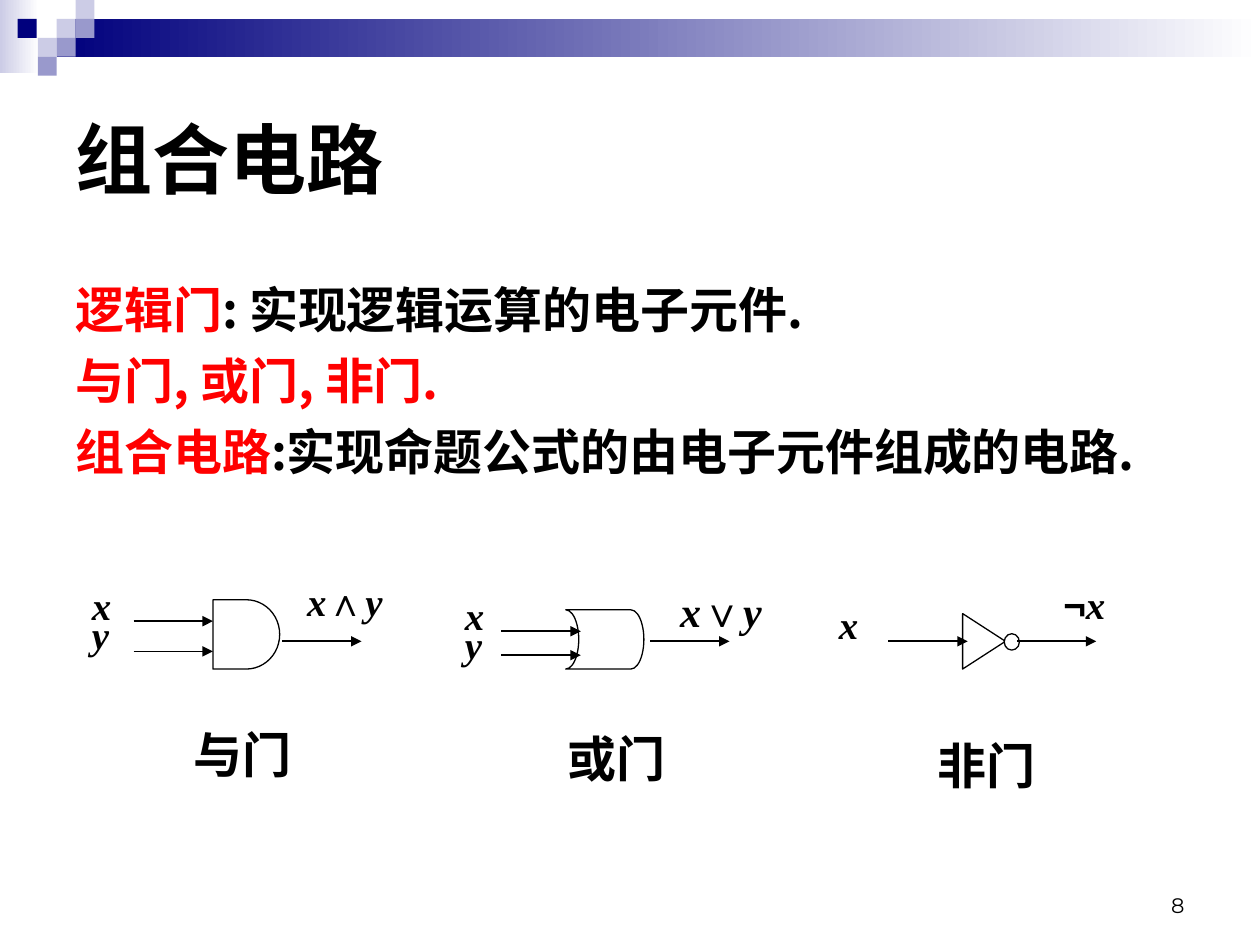
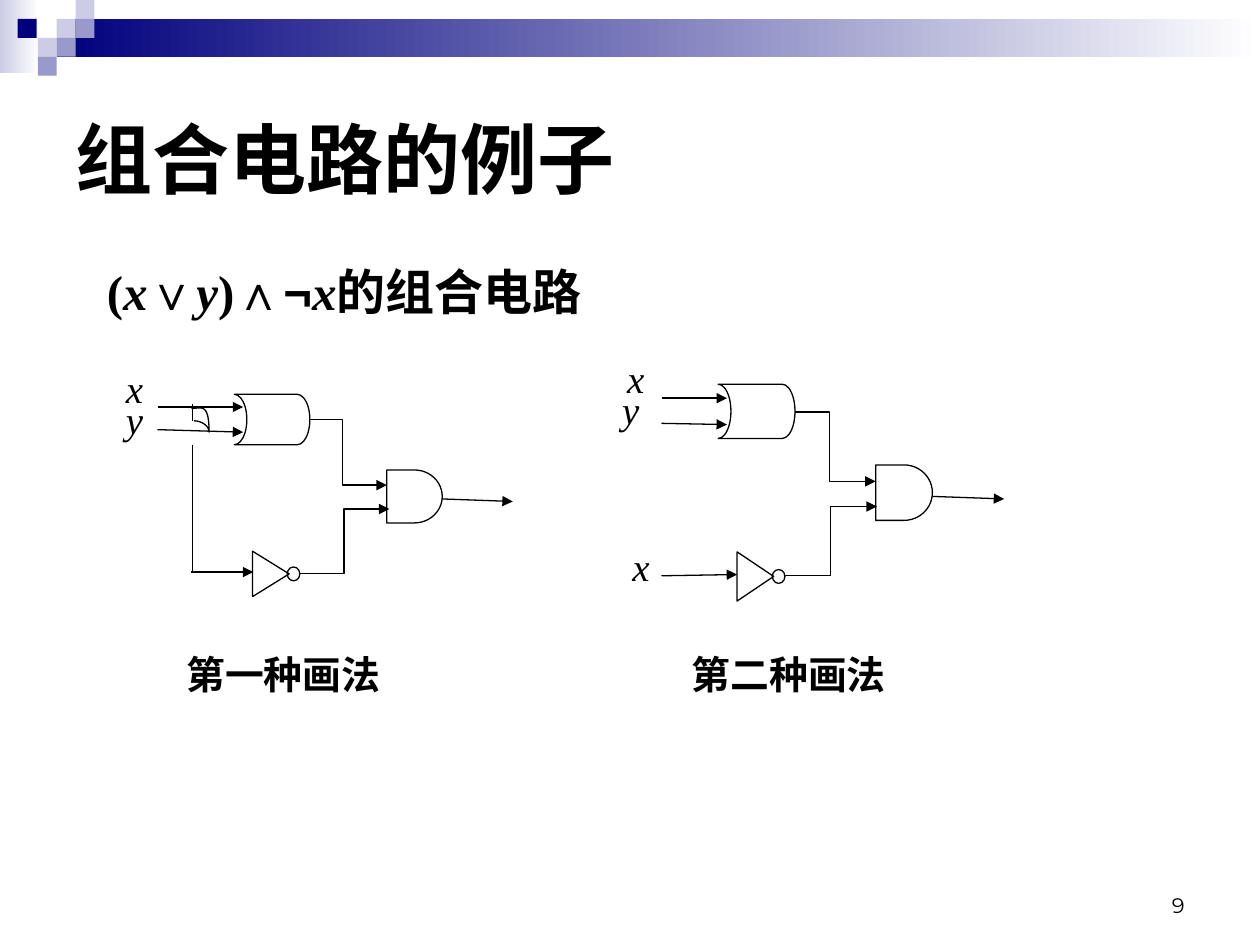
from dataclasses import dataclass
from itertools import groupby

from lxml import etree
from pptx import Presentation
from pptx.dml.color import RGBColor
from pptx.enum.shapes import MSO_CONNECTOR, MSO_SHAPE
from pptx.enum.text import MSO_ANCHOR, PP_ALIGN
from pptx.oxml.ns import qn
from pptx.util import Inches, Pt

RECT, OVAL = MSO_SHAPE.RECTANGLE, MSO_SHAPE.OVAL
TRIANGLE = MSO_SHAPE.ISOSCELES_TRIANGLE
AND_SHAPE = MSO_SHAPE.FLOWCHART_DELAY
OR_SHAPE = MSO_SHAPE.FLOWCHART_STORED_DATA
STRAIGHT, ELBOW = MSO_CONNECTOR.STRAIGHT, MSO_CONNECTOR.ELBOW
TOP, MIDDLE, BOTTOM = MSO_ANCHOR.TOP, MSO_ANCHOR.MIDDLE, MSO_ANCHOR.BOTTOM
LEFT, RIGHT, JUSTIFY = PP_ALIGN.LEFT, PP_ALIGN.RIGHT, PP_ALIGN.JUSTIFY


@dataclass(frozen=True)
class Theme:
    # Colours
    black: str = "000000"
    white: str = "FFFFFF"
    red: str = "FF0000"
    navy: str = "00007D"
    mid: str = "9999CC"
    pale: str = "CCCCE6"
    # Fonts
    sans: str = "Arial"
    serif: str = "Times New Roman"
    caption_font: str = "Calibri"
    number_font: str = "Montserrat"
    cjk: str = "Noto Sans CJK SC"
    # Type sizes and line widths, in points
    title: float = 44
    body: float = 28
    output: float = 24
    label: float = 22.2
    number: float = 12
    thin: float = 0.74
    wire: float = 0.99


def rgb(color):
    return RGBColor.from_string(color)


def inches(values):
    return [Inches(v) for v in values]


def char_kind(char):
    """Variables are italic and the negation sign is sans."""
    return "variable" if char in "xy" else "not" if char == "¬" else "plain"


def bezier(p0, p1, p2, p3, steps=12):
    """Points along a cubic curve, without its start."""
    points = []
    for i in range(1, steps + 1):
        t = i / steps
        u = 1 - t
        points.append(tuple(u**3 * a + 3 * u * u * t * b + 3 * u * t * t * c + t**3 * d
                            for a, b, c, d in zip(p0, p1, p2, p3)))
    return points


class Deck:
    def __init__(self, theme):
        self.theme = theme
        self.prs = Presentation()
        self.prs.slide_width, self.prs.slide_height = Inches(10), Inches(7.5)
        self.s = None

    def new_slide(self, title, number):
        th = self.theme
        self.s = self.prs.slides.add_slide(self.prs.slide_layouts[6])
        self.band()
        self.text((0.5, 0.5, 9, 1.5), title, th.title, th.sans, bold=True,
                  align=LEFT, anchor=MIDDLE)
        self.text((7.17, 6.83, 2.33, 0.5), str(number), th.number, th.number_font,
                  align=RIGHT, anchor=BOTTOM)

    def band(self):
        th, side = self.theme, 0.15
        self.gradient((0, 0, 0.31, 0.58), th.pale)
        self.gradient((0.45, 0.15, 9.55, 0.3), th.navy)
        for x, y, color in [(0.45, 0.15, th.pale), (0.6, 0, th.pale), (0.6, 0.15, th.mid),
                            (0.3, 0.3, th.pale), (0.14, 0.15, th.navy),
                            (0.45, 0.3, th.mid), (0.3, 0.45, th.mid)]:
            self.shape(RECT, (x, y, side, side), fill=color)

    def gradient(self, box, color):
        fill = self.shape(RECT, box).fill
        fill.gradient()
        fill.gradient_angle = 0
        for stop, position, c in zip(fill.gradient_stops, (0, 1), (color, self.theme.white)):
            stop.position, stop.color.rgb = position, rgb(c)

    def style(self, sp, fill, line):
        sp.shadow.inherit = False
        if fill:
            sp.fill.solid()
            sp.fill.fore_color.rgb = rgb(fill)
        else:
            sp.fill.background()
        if line:
            sp.line.color.rgb = rgb(line)
            sp.line.width = Pt(self.theme.thin)
        else:
            sp.line.fill.background()

    def shape(self, kind, box, fill=None, line=None):
        sp = self.s.shapes.add_shape(kind, *inches(box))
        self.style(sp, fill, line)
        return sp

    def text(self, box, paras, size, font, bold=False, align=JUSTIFY, anchor=TOP,
             spacing=None, before=0, margin=0, indent=0, fill=None):
        """paras is a string, or a list of paragraphs made of (text, colour) parts."""
        th = self.theme
        if isinstance(paras, str):
            paras = [[(paras, th.black)]]
        sp = self.s.shapes.add_textbox(*inches(box))
        if fill:
            sp.fill.solid()
            sp.fill.fore_color.rgb = rgb(fill)
        tf = sp.text_frame
        tf.word_wrap, tf.vertical_anchor = True, anchor
        for i, parts in enumerate(paras):
            p = tf.paragraphs[0] if i == 0 else tf.add_paragraph()
            p.alignment, p.space_before = align, Pt(before)
            if spacing:
                p.line_spacing = spacing
            p.font.size, p.font.bold, p.font.name = Pt(size), bold, font
            p.font.color.rgb = rgb(th.black)
            pPr = p._p.get_or_add_pPr()
            pPr.set("marL", str(Inches(margin)))
            pPr.set("indent", str(Inches(indent)))
            etree.SubElement(pPr.find(qn("a:defRPr")), qn("a:ea")).set("typeface", th.cjk)
            for content, color in parts:
                for kind, chars in groupby(content, char_kind):
                    r = p.add_run()
                    r.text = "".join(chars)
                    if kind == "variable":
                        r.font.italic = True
                    elif kind == "not":
                        r.font.name = th.sans
                    if color != th.black:
                        r.font.color.rgb = rgb(color)

    def label(self, x, y, content, w=0.43, h=0.47, bold=False):
        self.text((x, y, w, h), content, self.theme.label, self.theme.serif,
                  bold=bold, spacing=0.9)

    def wire(self, x1, y1, x2, y2, width=None, kind=STRAIGHT, arrow=True, bend=None):
        cx = self.s.shapes.add_connector(kind, *inches((x1, y1, x2, y2)))
        cx.line.color.rgb = rgb(self.theme.black)
        cx.line.width = Pt(width or self.theme.thin)
        spPr = cx._element.spPr
        if arrow:
            etree.SubElement(spPr.find(qn("a:ln")), qn("a:tailEnd")).set("type", "triangle")
        if bend:
            guides = spPr.find(qn("a:prstGeom")).find(qn("a:avLst"))
            gd = etree.SubElement(guides, qn("a:gd"))
            gd.set("name", "adj1")
            gd.set("fmla", f"val {round(bend * 100000)}")
        etree.SubElement(spPr, qn("a:effectLst"))

    def and_gate(self, box, fill=None):
        self.shape(AND_SHAPE, box, fill, self.theme.black)

    def or_gate(self, box, fill=None):
        sp = self.shape(OR_SHAPE, box, fill, self.theme.black)
        sp._element.spPr.get_or_add_xfrm().set("flipH", "1")

    def not_gate(self, box, bubble, fill=None):
        self.shape(TRIANGLE, box, fill, self.theme.black).rotation = 90
        self.shape(OVAL, bubble, fill, self.theme.black)

    def curve(self, start, *segments):
        points = [start]
        for segment in segments:
            points += bezier(points[-1], *segment)
        # Freeform points are whole numbers, so they are given in EMU
        first, *rest = [inches(point) for point in points]
        builder = self.s.shapes.build_freeform(*first, scale=1.0)
        builder.add_line_segments(rest, close=False)
        self.style(builder.convert_to_shape(), None, self.theme.black)

    def circuit(self, or_box, not_box, bubble, and_box, arrows, bends):
        self.or_gate(or_box)
        self.not_gate(not_box, bubble)
        self.and_gate(and_box)
        for arrow in arrows:
            self.wire(*arrow)
        for ends, bend in zip(bends, (0.43, 0.5)):
            self.wire(*ends, kind=ELBOW, bend=bend)


th = Theme()
deck = Deck(th)

# Slide 1: the three gates
deck.new_slide("组合电路", 8)
deck.text((0.5, 2.17, 9, 1.9), [
    [("逻辑门", th.red), (": 实现逻辑运算的电子元件.", th.black)],
    [("与门, 或门, 非门.", th.red)],
    [("组合电路", th.red), (":实现命题公式的由电子元件组成的电路.", th.black)],
], th.body, th.cjk, bold=True, align=LEFT, before=7, margin=0.38, indent=-0.38)

for x, y, w, name in [(0.94, 5.7, 1.73, "与门"), (3.91, 5.73, 1.77, "或门"),
                      (6.84, 5.79, 1.75, "非门")]:
    deck.text((x, y, w, 0.67), name, th.body, th.caption_font, bold=True,
              margin=0.5, fill=th.white)

deck.and_gate((1.69, 4.76, 0.53, 0.55), th.white)
deck.or_gate((4.49, 4.84, 0.62, 0.47), th.white)
deck.not_gate((7.59, 4.92, 0.44, 0.34), (7.97, 5.03, 0.12, 0.13), th.white)

# Inputs and outputs
for x, y, name in [(0.63, 4.61, "x"), (0.63, 4.84, "y"), (3.59, 4.69, "x"),
                   (3.59, 4.92, "y"), (6.56, 4.76, "x")]:
    deck.label(x, y, name, w=0.39, bold=True)
deck.label(2.34, 4.58, "x∧y", w=1.17, h=0.5, bold=True)
deck.text((5.3, 4.6, 1.1, 0.55), "x∨y", th.output, th.serif, bold=True)
deck.label(8.34, 4.6, "¬x", w=0.72, h=0.48, bold=True)

wire_length = 0.63
for x, y in [(8.07, 5.09), (7.05, 5.09), (5.16, 5.09), (3.98, 5.01), (3.98, 5.2),
             (2.24, 5.09), (1.06, 4.93), (1.06, 5.17)]:
    deck.wire(x, y, x + wire_length, y, th.wire)

# Slide 2: two drawings of one circuit
deck.new_slide("组合电路的例子", 9)
deck.text((0.55, 2.03, 8.67, 4.14), "(x∨y)∧¬x的组合电路", th.body, th.serif,
          bold=True, margin=0.2)

# First drawing: x branches to both gates
deck.circuit(
    or_box=(1.86, 3.13, 0.6, 0.4), not_box=(1.97, 4.41, 0.36, 0.29),
    bubble=(2.28, 4.5, 0.1, 0.11), and_box=(3.07, 3.73, 0.44, 0.42),
    arrows=[(1.25, 3.23, 1.93, 3.23), (1.25, 3.41, 1.93, 3.43),
            (1.52, 4.54, 2.01, 4.54), (3.51, 3.96, 4.07, 3.98)],
    bends=[(2.45, 3.33, 3.07, 3.85), (2.37, 4.55, 3.09, 4.04)])
# Hump where the branch crosses the y wire
deck.curve((1.54, 3.34),
           [(1.6, 3.34), (1.66, 3.38), (1.66, 3.43)],
           [(1.66, 3.2), (1.6, 3.24), (1.54, 3.24)],
           [(1.53, 3.24), (1.53, 3.24), (1.52, 3.24)])
deck.wire(1.53, 3.21, 1.53, 3.34, arrow=False)
deck.wire(1.53, 3.53, 1.53, 4.53, arrow=False)

# Second drawing: x enters twice
deck.circuit(
    or_box=(5.7, 3.05, 0.61, 0.43), not_box=(5.8, 4.43, 0.39, 0.29),
    bubble=(6.13, 4.52, 0.1, 0.11), and_box=(6.95, 3.69, 0.45, 0.44),
    arrows=[(5.25, 3.16, 5.77, 3.16), (5.25, 3.36, 5.77, 3.37),
            (5.25, 4.57, 5.85, 4.56), (7.4, 3.94, 7.97, 3.96)],
    bends=[(6.31, 3.27, 6.95, 3.82), (6.22, 4.57, 6.96, 4.02)])

# Input labels and captions
for x, y, name in [(0.9, 2.89, "x"), (0.9, 3.13, "y"), (4.88, 2.81, "x"),
                   (4.84, 3.05, "y"), (4.92, 4.3, "x")]:
    deck.label(x, y, name)
for x, name in [(1.38, "第一种画法"), (5.39, "第二种画法")]:
    deck.label(x, 5.16, name, w=1.9, bold=True)

deck.prs.save("out.pptx")
